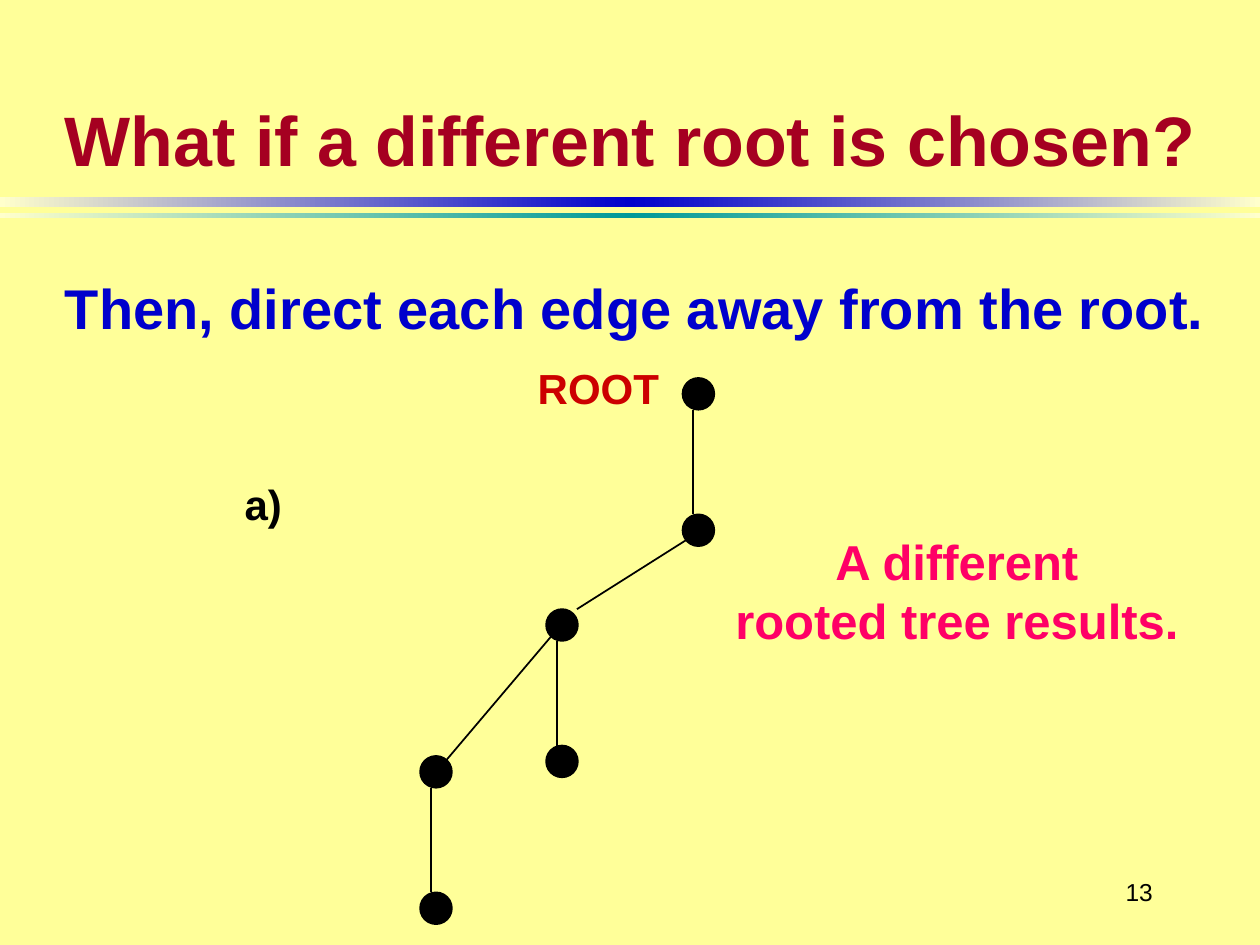
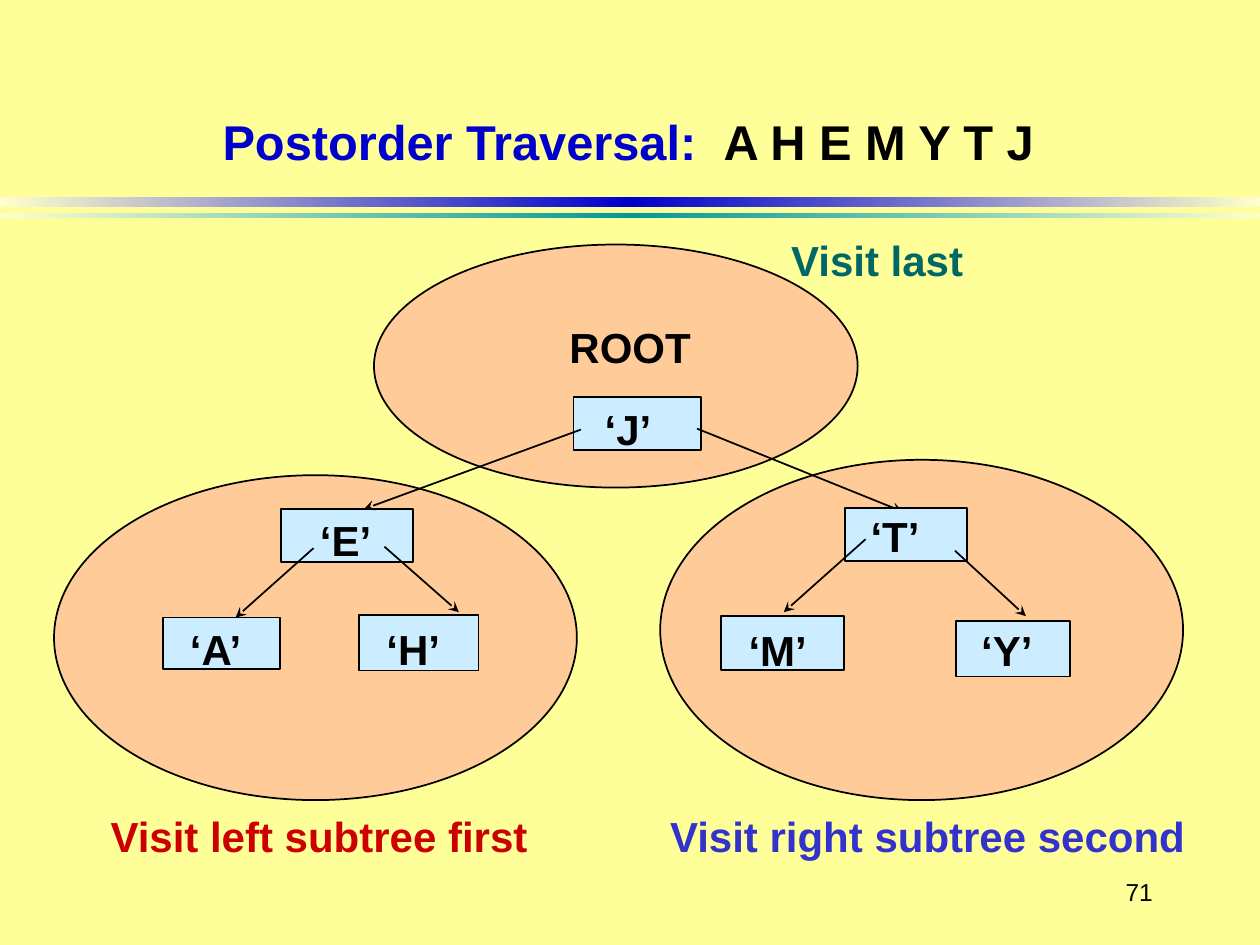
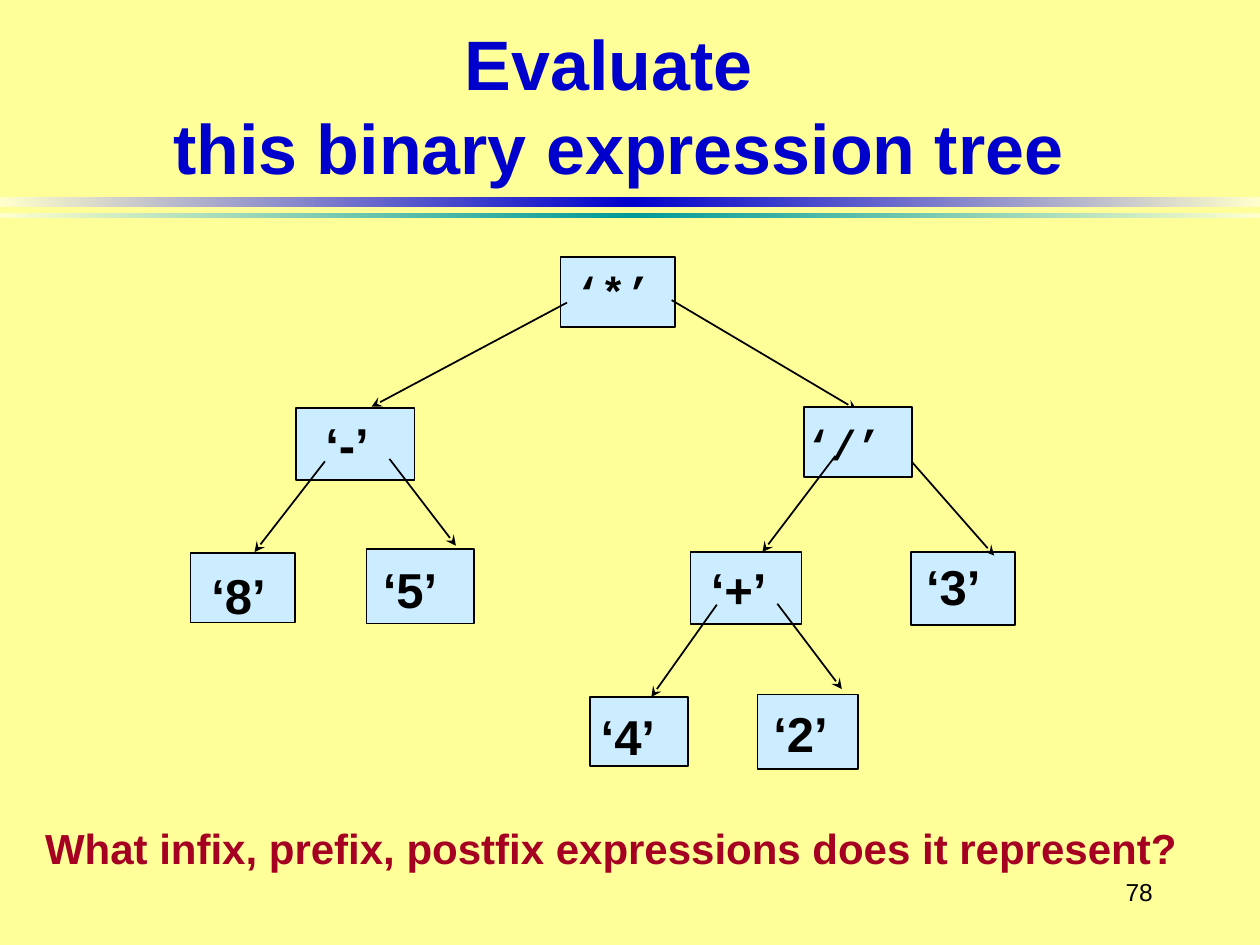
from copy import deepcopy
from dataclasses import dataclass
from typing import Iterable

from lxml import etree
from pptx import Presentation
from pptx.dml.color import RGBColor
from pptx.enum import shapes, text
from pptx.oxml.ns import qn
from pptx import util as u

BLACK, BLUE, RED, CRIMSON = "000000", "0000CC", "CC0000", "A50021"
INDIGO, TEAL, PINK = "3333CC", "006666", "FF0066"
PAGE_FILL, BAND_EDGE, BAND_TEAL = "FFFF99", "FFFFCC", "009999"
NODE_FILL, SUBTREE_FILL = "CCECFF", "FFCC99"
SANS, MONO = "Arial", "Courier New"
TITLE_WIDTH, TITLE_HEIGHT = 23.65, 3.18
DOT_SIZE, DOT_DROP = 0.64, 2.75

RECTANGLE = shapes.MSO_SHAPE.RECTANGLE
OVAL = shapes.MSO_SHAPE.OVAL
LEFT, CENTER, RIGHT = text.PP_ALIGN.LEFT, text.PP_ALIGN.CENTER, text.PP_ALIGN.RIGHT
TOP, MIDDLE, BOTTOM = (text.MSO_ANCHOR.TOP, text.MSO_ANCHOR.MIDDLE,
                       text.MSO_ANCHOR.BOTTOM)


@dataclass(frozen=True)
class Frame:
    """A place on the page, in centimetres."""
    left: float
    top: float
    width: float
    height: float = 1.27

    def lengths(self) -> list[u.Cm]:
        return [u.Cm(n) for n in (self.left, self.top, self.width, self.height)]


@dataclass(frozen=True)
class Style:
    size: float = 24
    color: str = BLACK
    bold: bool = True
    face: str = SANS
    align: text.PP_ALIGN = LEFT
    anchor: text.MSO_ANCHOR = TOP
    wrap: bool = False


@dataclass(frozen=True)
class Node:
    label: str
    box: Frame
    label_frame: Frame
    style: Style = Style()


@dataclass(frozen=True)
class Edge:
    """A line from parent to child, in centimetres."""
    x1: float
    y1: float
    x2: float
    y2: float


def rgb(color: str) -> RGBColor:
    return RGBColor.from_string(color)


def title_style(color: str, size: float = 40) -> Style:
    return Style(size, color, align=CENTER, anchor=BOTTOM, wrap=True)


def add_text(page, frame: Frame, words: str, style: Style = Style()):
    """Add a text box with one paragraph for each line of words."""
    box = page.shapes.add_textbox(*frame.lengths())
    body = box.text_frame
    body.word_wrap = style.wrap
    body.vertical_anchor = style.anchor
    body.text = words
    for para in body.paragraphs:
        para.alignment = style.align
        para.font.name = style.face
        para.font.size = u.Pt(style.size)
        para.font.bold = style.bold
        para.font.color.rgb = rgb(style.color)
    return box


def add_filled(page, kind: shapes.MSO_SHAPE, frame: Frame, color: str) -> None:
    shape = page.shapes.add_shape(kind, *frame.lengths())
    shape.shadow.inherit = False
    shape.fill.solid()
    shape.fill.fore_color.rgb = rgb(color)
    shape.line.color.rgb = rgb(BLACK)
    shape.line.width = u.Pt(1)


def add_band(page, frame: Frame, color: str) -> None:
    """Add a bar that fades out from its middle to both ends."""
    band = page.shapes.add_shape(RECTANGLE, *frame.lengths())
    band.shadow.inherit = False
    band.line.fill.background()
    band.fill.gradient()
    band.fill.gradient_angle = 0
    stops = band._element.spPr.find(qn("a:gradFill")).find(qn("a:gsLst"))
    stops.insert(1, deepcopy(stops[0]))
    fades = ((0, BAND_EDGE), (0.5, color), (1, BAND_EDGE))
    for stop, (position, shade) in zip(band.fill.gradient_stops, fades):
        stop.position = position
        stop.color.rgb = rgb(shade)


def add_edge(page, edge: Edge, arrow: bool = False) -> None:
    line = page.shapes.add_connector(
        shapes.MSO_CONNECTOR.STRAIGHT,
        u.Cm(edge.x1), u.Cm(edge.y1), u.Cm(edge.x2), u.Cm(edge.y2))
    line.line.color.rgb = rgb(BLACK)
    line.line.width = u.Pt(1)
    properties = line._element.spPr
    if arrow:
        etree.SubElement(properties.find(qn("a:ln")), qn("a:tailEnd"), type="stealth")
    etree.SubElement(properties, qn("a:effectLst"))


def add_subtree(page, nodes: Iterable[Node], edges: Iterable[Edge]) -> None:
    """Draw the nodes, then the arrows that lie over them."""
    for node in nodes:
        add_filled(page, RECTANGLE, node.box, NODE_FILL)
        add_text(page, node.label_frame, node.label, node.style)
    for edge in edges:
        add_edge(page, edge, arrow=True)


def add_page(deck, number: int):
    page = deck.slides.add_slide(deck.slide_layouts[6])
    add_band(page, Frame(0, 3.97, 25.4, 0.2), BLUE)
    add_band(page, Frame(0, 4.29, 25.4, 0.1), BAND_TEAL)
    add_text(page, Frame(21.79, 17.35, 1.7), str(number),
             Style(14, bold=False, align=RIGHT, anchor=MIDDLE, wrap=True))
    return page


def add_different_root(deck) -> None:
    page = add_page(deck, 13)
    for left, top in ((8.47, 15.24), (11.01, 12.28), (13.76, 7.62)):
        for dot_top in (top, top + DOT_DROP):
            add_filled(page, OVAL, Frame(left, dot_top, DOT_SIZE, DOT_SIZE), BLACK)
        middle = left + DOT_SIZE / 3
        add_edge(page, Edge(middle, top + DOT_SIZE, middle, top + DOT_DROP))
    add_edge(page, Edge(13.97, 10.8, 11.63, 12.28))
    add_edge(page, Edge(11.22, 12.7, 8.89, 15.45))

    add_text(page, Frame(4.68, 9.52, 1.27), "a)")
    add_text(page, Frame(10.59, 7.19, 2.95), "ROOT", Style(color=RED))
    add_text(page, Frame(0.64, 4.65, 24.33, 2.34),
             "Then, direct each edge away from the root.", title_style(BLUE, 32))
    add_text(page, Frame(0, 0.58, 25.4, TITLE_HEIGHT),
             "What if a different root is chosen?", title_style(CRIMSON))
    add_text(page, Frame(14.45, 10.59, 9.68, 2.64),
             "A different\nrooted tree results. ", Style(28, PINK, align=CENTER))


def add_postorder(deck) -> None:
    page = add_page(deck, 71)
    for area in (Frame(13.31, 9.27, 10.54, 6.86),
                 Frame(7.54, 4.93, 9.75, 4.9),
                 Frame(1.09, 9.58, 10.54, 6.55)):
        add_filled(page, OVAL, area, SUBTREE_FILL)

    add_subtree(page, (
        Node("‘E’", Frame(5.66, 10.26, 2.67, 1.07), Frame(6.2, 10.24, 1.55)),
        Node("‘A’", Frame(3.28, 12.45, 2.36, 1.04), Frame(3.58, 12.45, 1.6)),
        Node("‘H’", Frame(7.24, 12.4, 2.41, 1.12), Frame(7.54, 12.45, 1.6)),
        Node("‘J’", Frame(11.56, 8, 2.57, 1.07), Frame(11.94, 8, 1.45)),
    ), (
        Edge(14.05, 8.64, 18.19, 10.31),
        Edge(7.75, 11.02, 9.25, 12.34),
        Edge(6.32, 11.05, 4.75, 12.45),
        Edge(11.71, 8.66, 7.34, 10.26),
    ))
    add_subtree(page, (
        Node("‘T’", Frame(17.04, 10.24, 2.46, 1.07), Frame(17.3, 10.16, 1.5)),
        Node("‘M’", Frame(14.53, 12.42, 2.49, 1.09), Frame(14.84, 12.47, 1.69)),
        Node("‘Y’", Frame(19.28, 12.52, 2.29, 1.12), Frame(19.53, 12.47, 1.55)),
    ), (
        Edge(19.25, 11.1, 20.68, 12.42),
        Edge(17.45, 10.87, 15.8, 12.34),
    ))

    add_text(page, Frame(11.23, 6.35, 2.97), "ROOT")
    add_text(page, Frame(1.98, 16.21, 8.94), "Visit left subtree first",
             Style(color=RED))
    add_text(page, Frame(13.26, 16.21, 10.92), "Visit right subtree second",
             Style(color=INDIGO))
    add_text(page, Frame(15.7, 4.6, 3.99), "Visit last", Style(color=TEAL))

    title = add_text(page, Frame(0.84, 0.38, TITLE_WIDTH, TITLE_HEIGHT),
                     "Postorder Traversal:  ", title_style(BLUE, 27.9))
    span = title.text_frame.paragraphs[0].add_run()
    span.text = "A H E M Y T J"
    span.font.color.rgb = rgb(BLACK)


def add_expression_tree(deck) -> None:
    page = add_page(deck, 78)
    add_text(page, Frame(0.64, 0.74, TITLE_WIDTH, TITLE_HEIGHT),
             "Evaluate \nthis binary expression tree", title_style(BLUE))

    large, mono = Style(28), Style(face=MONO)
    add_subtree(page, (
        Node("‘*’", Frame(11.3, 5.18, 2.31, 1.42), Frame(11.35, 5.23, 2.03), mono),
        Node("‘-’", Frame(5.97, 8.23, 2.39, 1.45), Frame(6.31, 8.23, 1.39, 1.45), large),
        Node("‘8’", Frame(3.84, 11.15, 2.11, 1.4), Frame(4.01, 11.28, 1.6, 1.45), large),
        Node("‘5’", Frame(7.39, 11.07, 2.16, 1.5), Frame(7.47, 11.15, 1.6, 1.45), large),
    ), (
        Edge(13.54, 6.05, 17.27, 8.26),
        Edge(7.85, 9.25, 9.19, 11),
        Edge(6.55, 9.3, 5.13, 11.13),
        Edge(11.43, 6.1, 7.49, 8.2),
    ))
    add_subtree(page, (
        Node("‘/’", Frame(16.21, 8.2, 2.18, 1.42), Frame(16, 8.31, 2.03), mono),
        Node("‘+’", Frame(13.92, 11.13, 2.24, 1.45), Frame(14.08, 11.15, 1.63, 1.45), large),
        Node("‘3’", Frame(18.36, 11.13, 2.11, 1.47), Frame(18.42, 11.1, 1.6, 1.45), large),
        Node("‘4’", Frame(11.89, 14.05, 1.98, 1.4), Frame(11.86, 14.12, 1.6, 1.45), large),
        Node("‘2’", Frame(15.27, 14, 2.03, 1.5), Frame(15.34, 14.05, 1.6, 1.45), large),
    ), (
        Edge(18.39, 9.32, 20.04, 11.2),
        Edge(15.67, 12.17, 16.97, 13.89),
        Edge(14.45, 12.19, 13.13, 14.05),
        Edge(16.84, 9.19, 15.37, 11.13),
    ))
    add_text(page, Frame(0.66, 16.46, 23.34),
             "What infix, prefix, postfix expressions does it represent?",
             Style(color=CRIMSON))


def main() -> None:
    deck = Presentation()
    deck.slide_width, deck.slide_height = u.Cm(25.4), u.Cm(19.05)
    backdrop = deck.slide_master.background.fill
    backdrop.solid()
    backdrop.fore_color.rgb = rgb(PAGE_FILL)
    add_different_root(deck)
    add_postorder(deck)
    add_expression_tree(deck)
    deck.save("out.pptx")


if __name__ == "__main__":
    main()
